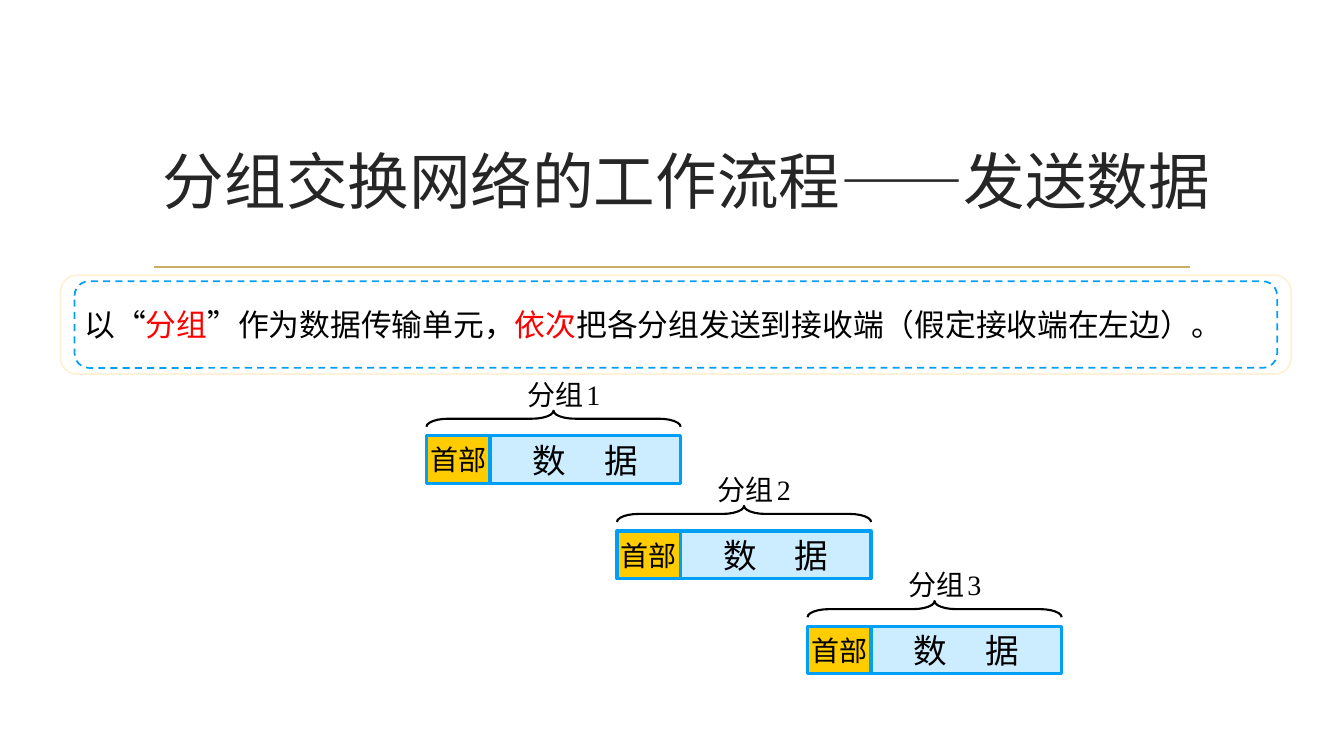
from lxml import etree
from pptx import Presentation
from pptx.dml.color import RGBColor
from pptx.enum import dml, shapes, text
from pptx.oxml import ns
from pptx.util import Pt

SANS, SERIF = "Noto Sans CJK SC", "Times New Roman"
BLACK, RED, BLUE = "000000", "FF0000", "009FF6"

TITLE = [("分组交换网络的工作流程——发送数据", {"size": 44, "color": "262626"})]
SUMMARY = [
    ("以“", {"size": 22}),
    ("分组", {"size": 22, "color": RED}),
    ("”作为数据传输单元，", {"size": 22}),
    ("依次", {"size": 22, "color": RED}),
    ("把各分组发送到接收端（假定接收端在左边）。", {"size": 22}),
]
HEADER = [("首部", {"size": 20})]
DATA = [("数 ", {"size": 24, "spacing": 10.8}), ("据", {"size": 24})]
PACKETS = ["1", "2", "3"]

FIRST_X, FIRST_Y = 304.6, 311.3
STEP_X, STEP_Y = 136.1, 68
HEADER_W, DATA_W, BAR_H = 45.4, 136.1, 34
BRACE_W, BRACE_H, BRACE_RISE = 181.5, 11.5, 12.2


def rgb(value):
    return RGBColor.from_string(value)


def add_text(sp, runs, **frame):
    tf = sp.text_frame
    align = frame.pop("align", text.PP_ALIGN.LEFT)
    for key, value in frame.items():
        setattr(tf, key, value)
    p = tf.paragraphs[0]
    p.alignment = align
    for words, style in runs:
        r = p.add_run()
        r.text = words
        for key, value in {"name": style.get("font", SANS), "size": Pt(style["size"])}.items():
            setattr(r.font, key, value)
        r.font.color.rgb = rgb(style.get("color", BLACK))
        props = r._r.get_or_add_rPr()
        etree.SubElement(props, ns.qn("a:ea")).set("typeface", SANS)
        if "spacing" in style:
            props.set("spc", str(round(style["spacing"] * 100)))


def add_box(s, kind, box, fill, line, width):
    sp = s.shapes.add_shape(kind, *map(Pt, box))
    sp.shadow.inherit = False
    if fill:
        sp.fill.solid()
        sp.fill.fore_color.rgb = rgb(fill)
    else:
        sp.fill.background()
    sp.line.color.rgb = rgb(line)
    sp.line.width = Pt(width)
    return sp


def add_label(s, box, runs, **frame):
    add_text(s.shapes.add_textbox(*map(Pt, box)), runs, **frame)


def add_packet(s, number, x, y):
    rect = shapes.MSO_SHAPE.RECTANGLE
    centred = {"align": text.PP_ALIGN.CENTER, "word_wrap": False,
               "vertical_anchor": text.MSO_ANCHOR.MIDDLE}
    bars = [(x + HEADER_W, DATA_W, "CCECFF", DATA), (x, HEADER_W, "FFCC00", HEADER)]
    for left, width, fill, runs in bars:
        sp = add_box(s, rect, (left, y, width, BAR_H), fill, BLUE, 2.25)
        add_text(sp, runs, **centred)

    mid_x, mid_y = x + BRACE_W / 2, y - BRACE_RISE
    box = (mid_x - BRACE_H / 2, mid_y - BRACE_W / 2, BRACE_H, BRACE_W)
    brace = add_box(s, shapes.MSO_SHAPE.LEFT_BRACE, box, None, BLACK, 1.5)
    brace.rotation = 90
    brace.adjustments[0] = 1.344

    label = [(words, {"size": size, "font": SERIF})
             for words, size in (("分组", 20), (" ", 10), (number, 20))]
    add_label(s, (x + 64.8, y - 45.5, 69.8, 31.7), label, word_wrap=False)


def main():
    prs = Presentation()
    prs.slide_width, prs.slide_height = Pt(960), Pt(540)
    s = prs.slides.add_slide(prs.slide_layouts[6])

    rule = s.shapes.add_connector(shapes.MSO_CONNECTOR.STRAIGHT,
                                  Pt(110.2), Pt(190.8), Pt(850.3), Pt(190.8))
    rule.line.color.rgb = rgb("CBAF62")
    rule.line.width = Pt(1.25)
    etree.SubElement(rule._element.spPr, ns.qn("a:effectLst"))

    add_label(s, (102.2, 77, 776.9, 103), TITLE, word_wrap=True,
              align=text.PP_ALIGN.CENTER, vertical_anchor=text.MSO_ANCHOR.MIDDLE)

    rounded = shapes.MSO_SHAPE.ROUNDED_RECTANGLE
    add_box(s, rounded, (43.2, 196.6, 879.1, 70.6), "FFFFFF", "FEF1D6", 1.25)
    add_label(s, (53.3, 214.6, 869, 33.8), SUMMARY, word_wrap=True)
    frame = add_box(s, rounded, (53.3, 200.9, 859, 61.9), None, BLUE, 1.25)
    frame.line.dash_style = dml.MSO_LINE.DASH

    for i, number in enumerate(PACKETS):
        add_packet(s, number, FIRST_X + i * STEP_X, FIRST_Y + i * STEP_Y)

    prs.save("out.pptx")


if __name__ == "__main__":
    main()
